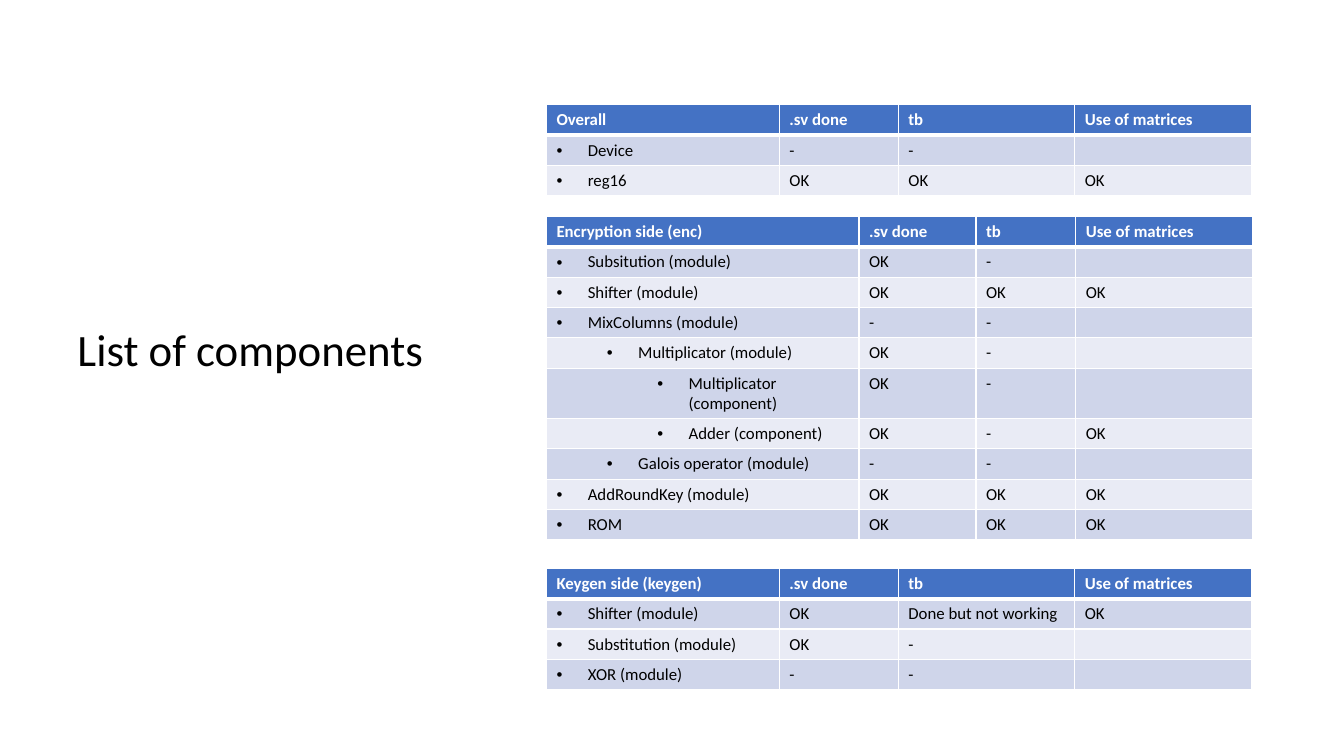
from lxml import etree
from pptx import Presentation
from pptx import util as u
from pptx.dml.color import RGBColor
from pptx.enum import text
from pptx.oxml.ns import qn

BLACK = RGBColor(0x00, 0x00, 0x00)
WHITE = RGBColor(0xFF, 0xFF, 0xFF)
BLUE = RGBColor(0x44, 0x72, 0xC4)
BANDS = [RGBColor(0xE9, 0xEB, 0xF5), RGBColor(0xCF, 0xD5, 0xEA)]

ROW_H = 0.3
WIDE_TB = [2.31, 1.18, 1.75, 1.75]
WIDE_NAME = [3.1, 1.16, 0.99, 1.75]
HEADINGS = [".sv done", "tb", "Use of matrices"]

TABLES = [
    ("Overall", 1.04, WIDE_TB, [
        (0, "Device", "-", "-", ""),
        (0, "reg16", "OK", "OK", "OK"),
    ]),
    ("Encryption side (enc)", 2.15, WIDE_NAME, [
        (0, "Subsitution (module)", "OK", "-", ""),
        (0, "Shifter (module)", "OK", "OK", "OK"),
        (0, "MixColumns (module)", "-", "-", ""),
        (1, "Multiplicator (module)", "OK", "-", ""),
        (2, "Multiplicator (component)", "OK", "-", ""),
        (2, "Adder (component)", "OK", "-", "OK"),
        (1, "Galois operator (module)", "-", "-", ""),
        (0, "AddRoundKey (module)", "OK", "OK", "OK"),
        (0, "ROM", "OK", "OK", "OK"),
    ]),
    ("Keygen side (keygen)", 5.64, WIDE_TB, [
        (0, "Shifter (module)", "OK", "Done but not working", "OK"),
        (0, "Substitution (module)", "OK", "-", ""),
        (0, "XOR (module)", "-", "-", ""),
    ]),
]


def write(tf, words, size=12, color=BLACK, bold=False, level=None):
    p = tf.paragraphs[0]
    if words:
        r = p.add_run()
        r.text = words
        r.font.name = "Calibri"
        r.font.size = u.Pt(size)
        r.font.bold = bold
        r.font.color.rgb = color
    else:
        etree.SubElement(p._p, qn("a:endParaRPr"), sz=str(size * 100))
    if level is not None:
        p.level = level
        pPr = p._p.get_or_add_pPr()
        pPr.set("marL", str(u.Inches(0.31 + 0.5 * level)))
        pPr.set("indent", str(-u.Inches(0.31)))
        etree.SubElement(pPr, qn("a:buFont"), typeface="Arial")
        etree.SubElement(pPr, qn("a:buChar"), char="•")
    return p


def set_borders(cell, **widths):
    tcPr = cell._tc.get_or_add_tcPr()
    for side in "LRTB":
        ln = etree.SubElement(tcPr, qn("a:ln" + side), w=str(u.Pt(widths.get(side, 1))))
        fill = etree.SubElement(ln, qn("a:solidFill"))
        etree.SubElement(fill, qn("a:srgbClr"), val=str(WHITE))


prs = Presentation()
prs.slide_width = u.Inches(13.33)
prs.slide_height = u.Inches(7.5)
s = prs.slides.add_slide(prs.slide_layouts[6])

title = s.shapes.add_textbox(u.Inches(0.67), u.Inches(3.03), u.Inches(4.3), u.Inches(0.75))
tf = title.text_frame
tf.word_wrap = True
tf.vertical_anchor = text.MSO_ANCHOR.BOTTOM
write(tf, "List of components", size=32).line_spacing = 0.9

for heading, top, widths, components in TABLES:
    n = len(components) + 1
    table = s.shapes.add_table(n, len(widths), u.Inches(5.42), u.Inches(top),
                               u.Inches(7), u.Inches(ROW_H * n)).table
    for column, width in zip(table.columns, widths):
        column.width = u.Inches(width)

    for cell, words in zip(table.rows[0].cells, [heading] + HEADINGS):
        set_borders(cell, B=3)
        cell.fill.solid()
        cell.fill.fore_color.rgb = BLUE
        write(cell.text_frame, words, color=WHITE, bold=True)

    for i, (level, *values) in enumerate(components, 1):
        for j, words in enumerate(values):
            cell = table.cell(i, j)
            set_borders(cell, T=3 if i == 1 else 1)
            cell.fill.solid()
            cell.fill.fore_color.rgb = BANDS[i % 2]
            write(cell.text_frame, words, level=level if j == 0 else None)

prs.save("out.pptx")
